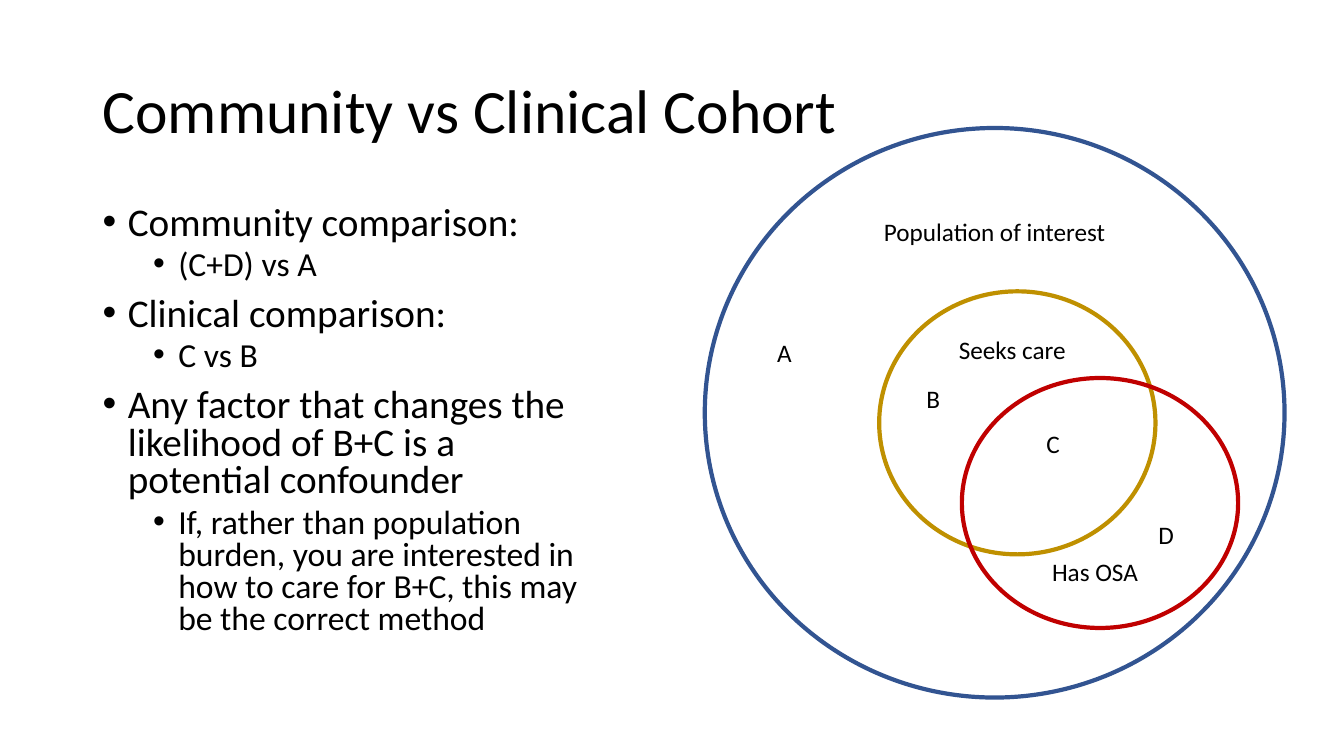
import pptx
import pptx.util
import pptx.dml.color
import pptx.enum.shapes
import pptx.enum.text
import pptx.oxml.ns
import lxml.etree

RGB = pptx.dml.color.RGBColor
ALIGN = pptx.enum.text.PP_ALIGN
ANCHOR = pptx.enum.text.MSO_ANCHOR
BLACK = RGB(0x00, 0x00, 0x00)
BLUE = RGB(0x32, 0x54, 0x91)
GOLD = RGB(0xBF, 0x90, 0x00)
RED = RGB(0xC0, 0x00, 0x00)
FONT = "Calibri"
SCALE = 9144

TITLE = "Community vs Clinical Cohort"
POINTS = [
    (0, "Community comparison:"),
    (1, "(C+D) vs A"),
    (0, "Clinical comparison:"),
    (1, "C vs B"),
    (0, "Any factor that changes the likelihood of B+C is a potential confounder"),
    (1, "If, rather than population burden, you are interested in how to care "
        "for B+C, this may be the correct method"),
]
LEVELS = [dict(size=28, before=10, left=25), dict(size=24, before=5, left=75)]
RINGS = [
    ("Population of interest", (699, 127, 575, 565), BLUE, ANCHOR.TOP, 10),
    ("Seeks care", (872, 289, 274, 261), GOLD, ANCHOR.TOP, 0),
    ("Has OSA", (954, 375, 274, 248), RED, ANCHOR.BOTTOM, 0),
]
ZONES = [("A", 761, 330), ("B", 909, 375), ("C", 1028, 420), ("D", 1139, 510)]


def px(num):
    return pptx.util.Emu(num * SCALE)


def frame(shape, anchor=ANCHOR.TOP, inset=10):
    body = shape.text_frame
    body.word_wrap = True
    body.vertical_anchor = anchor
    body.margin_left, body.margin_right = px(inset), px(10)
    body.margin_top = body.margin_bottom = px(5)
    return body


def write(para, text, size=18, align=ALIGN.LEFT, space=1.0, before=0, left=None):
    if left is not None:
        props = para._p.get_or_add_pPr()
        props.set("marL", str(px(left)))
        props.set("indent", str(px(-25)))
        for tag, key, value in (("a:buFont", "typeface", "Arial"), ("a:buChar", "char", "•")):
            lxml.etree.SubElement(props, pptx.oxml.ns.qn(tag)).set(key, value)
    para.alignment = align
    para.line_spacing = space
    para.space_before = pptx.util.Pt(before)
    run = para.add_run()
    run.text = text
    run.font.name = FONT
    run.font.size = pptx.util.Pt(size)
    run.font.color.rgb = BLACK


def main():
    deck = pptx.Presentation()
    deck.slide_width, deck.slide_height = px(1333), px(750)
    slide = deck.slides.add_slide(deck.slide_layouts[6])
    shapes = slide.shapes

    title = shapes.add_textbox(*map(px, (92, 40, 1150, 145)))
    write(frame(title, ANCHOR.MIDDLE).paragraphs[0], TITLE, size=44, space=0.9)

    body = frame(shapes.add_textbox(*map(px, (92, 200, 504, 476))))
    for order, (level, text) in enumerate(POINTS):
        para = body.add_paragraph() if order else body.paragraphs[0]
        para.level = level
        style = dict(LEVELS[level])
        if not order:
            style["before"] = 0
        write(para, text, space=0.8, **style)

    for text, box, color, anchor, inset in RINGS:
        ring = shapes.add_shape(pptx.enum.shapes.MSO_SHAPE.OVAL, *map(px, box))
        ring.shadow.inherit = False
        ring.fill.background()
        ring.line.color.rgb = color
        ring.line.width = pptx.util.Pt(3)
        write(frame(ring, anchor, inset).paragraphs[0], text, align=ALIGN.CENTER)

    for text, left, top in ZONES:
        zone = shapes.add_textbox(*map(px, (left, top, 45, 40)))
        write(frame(zone).paragraphs[0], text)

    deck.save("out.pptx")


if __name__ == "__main__":
    main()
